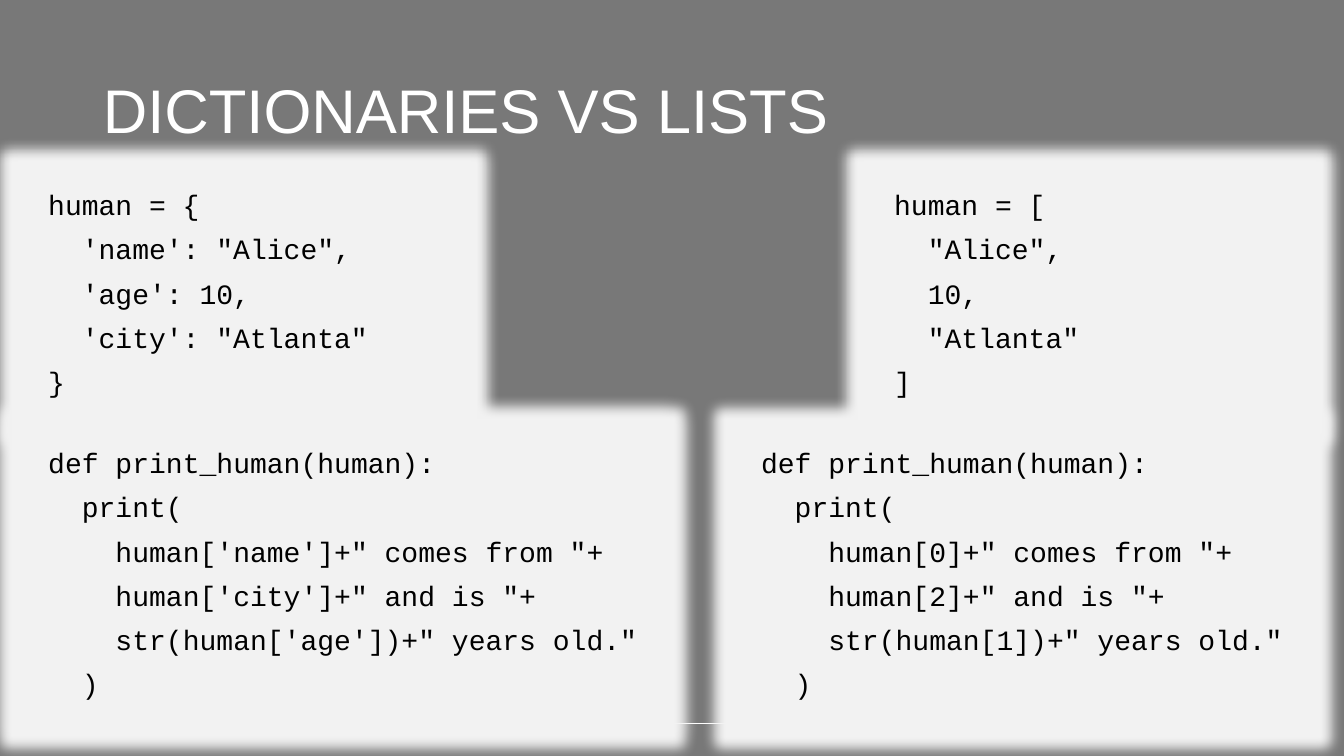
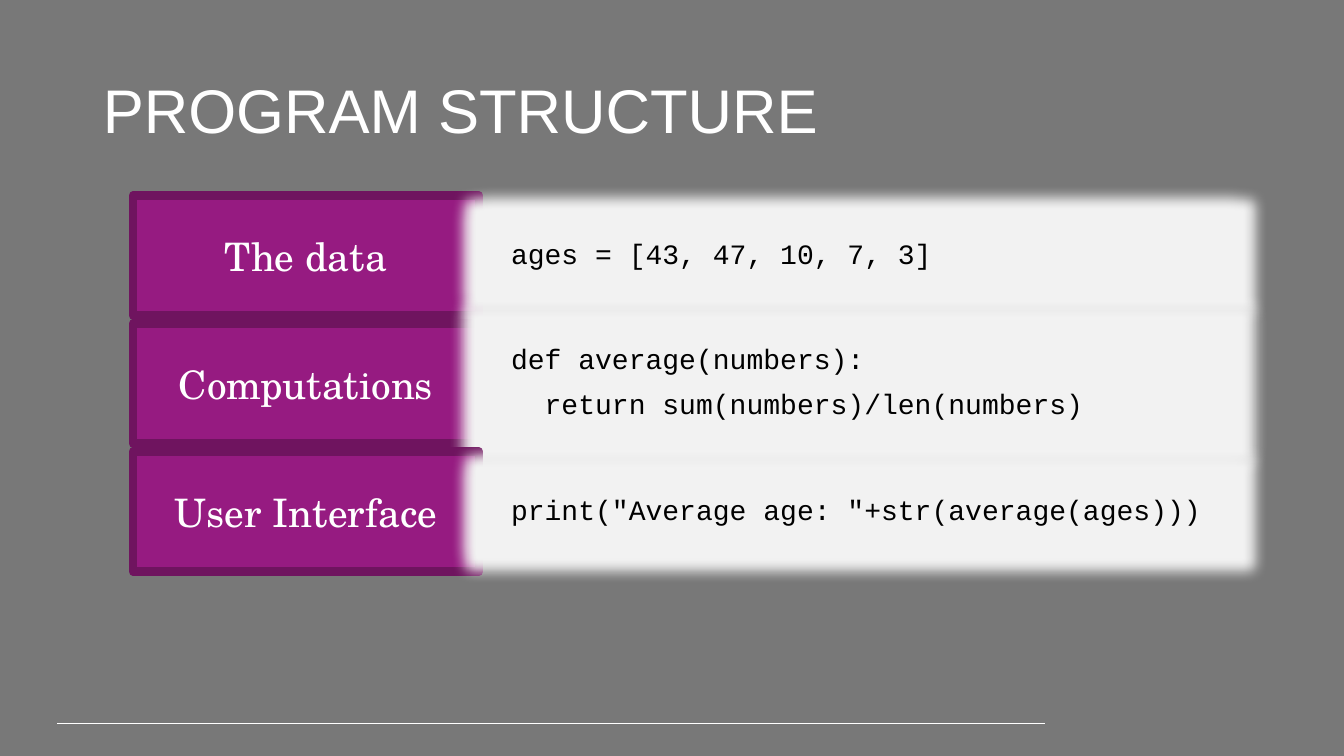
import pptx
import pptx.dml.color
import pptx.enum.shapes
import pptx.enum.text
import pptx.util
from lxml import etree
from pptx.oxml.ns import qn

Inches = pptx.util.Inches
Pt = pptx.util.Pt
ALIGN = pptx.enum.text.PP_ALIGN
ANCHOR = pptx.enum.text.MSO_ANCHOR
AUTO_SIZE = pptx.enum.text.MSO_AUTO_SIZE

GREY, WHITE, BLACK = "787878", "FFFFFF", "000000"
PANEL, PURPLE, DARK_PURPLE = "F2F2F2", "961B81", "6F145F"
TITLE_FONT, CODE_FONT, LABEL_FONT = "Arial", "Courier New", "TeX Gyre Schola"
FIRST_LINE_HEIGHT, LINE_STEP = 0.4, 0.45
GLOW_RADIUS = Pt(18)

DICTIONARY = """human = {
  'name': "Alice",
  'age': 10,
  'city': "Atlanta"
}"""
LIST = """human = [
  "Alice",
  10,
  "Atlanta"
]"""
PRINT_HUMAN = """def print_human(human):
  print(
    human[{name}]+" comes from "+
    human[{city}]+" and is "+
    str(human[{age}])+" years old."
  )"""
PROGRAM_PARTS = [
    ("The data", "ages = [43, 47, 10, 7, 3]"),
    ("Computations", "def average(numbers):\n  return sum(numbers)/len(numbers)"),
    ("User Interface", 'print("Average age: "+str(average(ages)))'),
]


def rgb(value):
    """Return the colour for a hex string."""
    return pptx.dml.color.RGBColor.from_string(value)


def style_text(paragraph, font_name, size, colour, align=ALIGN.LEFT):
    """Set the font and alignment of one paragraph."""
    paragraph.alignment = align
    for run in paragraph.runs:
        run.font.name = font_name
        run.font.size = Pt(size)
        run.font.color.rgb = rgb(colour)


def add_box(slide, left, top, width, height, fill):
    """Add a plain filled rectangle without outline or shadow."""
    box = slide.shapes.add_shape(
        pptx.enum.shapes.MSO_SHAPE.RECTANGLE,
        Inches(left), Inches(top), Inches(width), Inches(height))
    box.shadow.inherit = False
    box.fill.solid()
    box.fill.fore_color.rgb = rgb(fill)
    box.line.fill.background()
    box.text_frame.word_wrap = True
    return box


def add_glow(box, colour):
    """Surround a box with a glow of the given colour."""
    effects = box.element.spPr.find(qn("a:effectLst"))
    glow = etree.SubElement(effects, qn("a:glow"), rad=str(GLOW_RADIUS))
    etree.SubElement(glow, qn("a:srgbClr"), val=colour)


def code_height(code):
    """Return the panel height that fits the lines of code."""
    return FIRST_LINE_HEIGHT + LINE_STEP * code.count("\n")


def add_code(slide, code, left, top, width):
    """Add a glowing panel of code, one paragraph per line."""
    panel = add_box(slide, left, top, width, code_height(code), PANEL)
    add_glow(panel, PANEL)
    frame = panel.text_frame
    frame.text = code
    frame.vertical_anchor = ANCHOR.TOP
    frame.auto_size = AUTO_SIZE.SHAPE_TO_FIT_TEXT
    for index, line in enumerate(frame.paragraphs):
        line.line_spacing = 0.9
        line.space_before = Pt(10 if index else 0)
        style_text(line, CODE_FONT, 20, BLACK)


def add_label(slide, name, left, top, width, height):
    """Add a purple box that names a part of the program."""
    label = add_box(slide, left, top, width, height, PURPLE)
    label.line.color.rgb = rgb(DARK_PURPLE)
    label.line.width = Pt(6)
    label.text_frame.text = name
    label.text_frame.vertical_anchor = ANCHOR.MIDDLE
    style_text(label.text_frame.paragraphs[0], LABEL_FONT, 28, WHITE, ALIGN.CENTER)


def add_footer_rule(slide):
    """Draw the thin white line at the foot of the slide."""
    rule = slide.shapes.add_connector(
        pptx.enum.shapes.MSO_CONNECTOR.STRAIGHT,
        Inches(0.57), Inches(7.18), Inches(10.36), Inches(7.18))
    rule.line.color.rgb = rgb(WHITE)
    rule.line.width = Pt(0.75)
    etree.SubElement(rule.element.spPr, qn("a:effectLst"))


def add_titled_slide(deck, heading, title_width):
    """Add a slide with the shared background, title and footer rule."""
    slide = deck.slides.add_slide(deck.slide_layouts[5])
    title = slide.shapes.title
    title.left, title.top = Inches(0.92), Inches(0.4)
    title.width, title.height = Inches(title_width), Inches(1.45)
    frame = title.text_frame
    frame.text = heading
    frame.word_wrap = True
    frame.auto_size = AUTO_SIZE.NONE
    frame.vertical_anchor = ANCHOR.MIDDLE
    frame.paragraphs[0].line_spacing = 0.9
    style_text(frame.paragraphs[0], TITLE_FONT, 44, WHITE)
    add_footer_rule(slide)
    return slide


def build_comparison(deck):
    """Build the slide that compares dictionaries with lists."""
    slide = add_titled_slide(deck, "DICTIONARIES VS LISTS", 12.18)
    left, right, data_top, function_top = 0.38, 12.84, 1.85, 4.41
    data_width, by_key_width, by_index_width = 4.07, 6.05, 5.39
    by_key = PRINT_HUMAN.format(name="'name'", city="'city'", age="'age'")
    by_index = PRINT_HUMAN.format(name=0, city=2, age=1)
    add_code(slide, DICTIONARY, left, data_top, data_width)
    add_code(slide, LIST, right - data_width, data_top, data_width)
    add_code(slide, by_index, right - by_index_width, function_top, by_index_width)
    add_code(slide, by_key, left, function_top, by_key_width)


def add_program_part(slide, name, code, left, top, height):
    """Add a label with its code panel centred beside it."""
    add_label(slide, name, left, top, 3.43, height)
    code_top = top + (height - code_height(code)) / 2
    add_code(slide, code, left + 3.65, code_top, 7.09)


def build_structure(deck):
    """Build the slide that shows the three parts of a program."""
    slide = add_titled_slide(deck, "PROGRAM STRUCTURE", 11.5)
    for row, (name, code) in enumerate(PROGRAM_PARTS):
        add_program_part(slide, name, code, 1.32, 1.94 + 1.27 * row, 1.19)


def main():
    """Build and save the presentation."""
    deck = pptx.Presentation()
    deck.slide_width, deck.slide_height = Inches(13.33), Inches(7.5)
    background = deck.slide_master.background.fill
    background.solid()
    background.fore_color.rgb = rgb(GREY)
    build_comparison(deck)
    build_structure(deck)
    deck.save("out.pptx")


if __name__ == "__main__":
    main()
